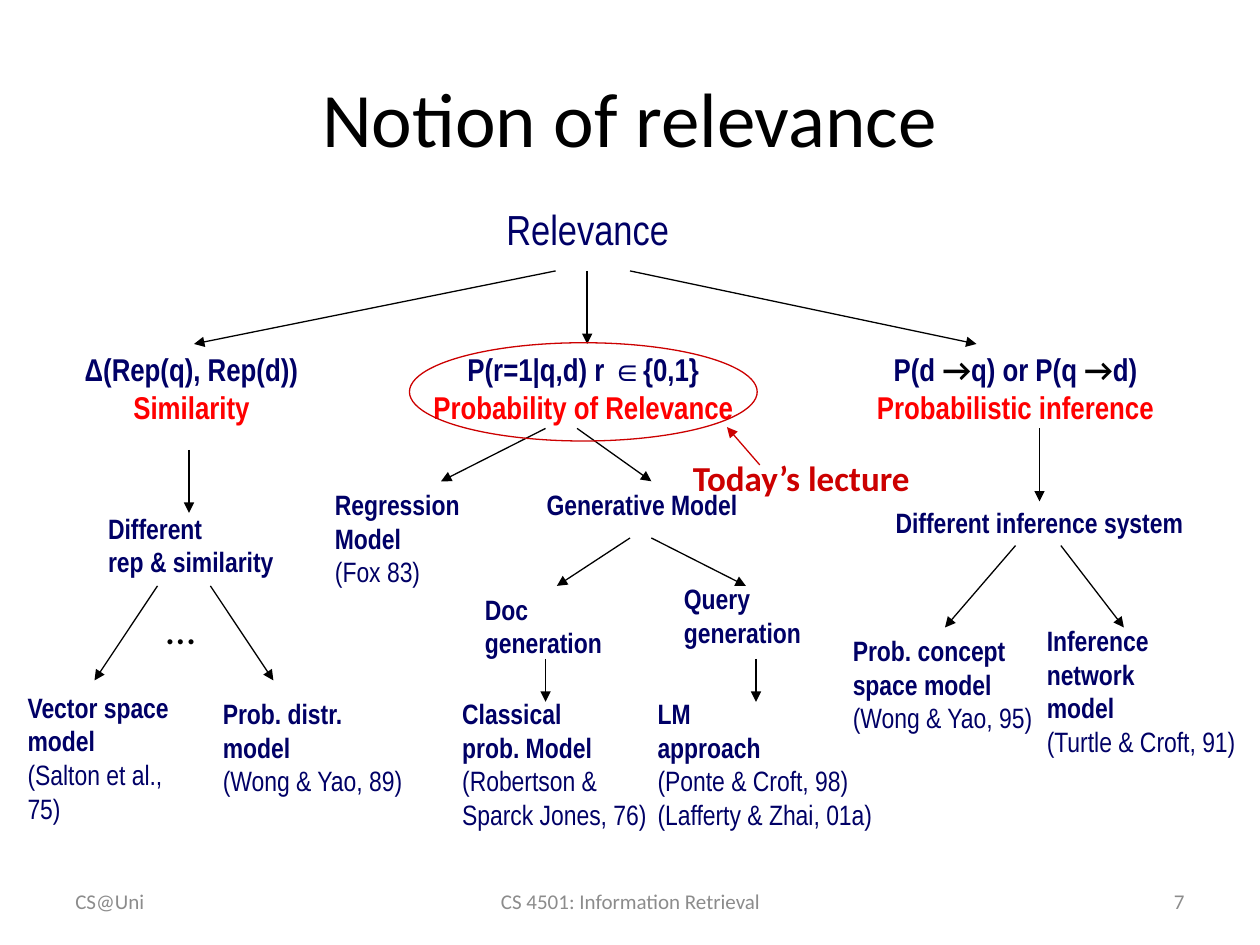
from pptx import Presentation
from pptx.dml.color import RGBColor
from pptx.enum.shapes import MSO_CONNECTOR as LINE, MSO_SHAPE as SHAPE
from pptx.enum.text import MSO_ANCHOR as ANCHOR, MSO_AUTO_SIZE as FIT, PP_ALIGN as ALIGN
from pptx.oxml.ns import qn
from pptx.util import Inches, Pt
from lxml.etree import SubElement

NAVY = RGBColor(0x00, 0x00, 0x66)
RED = RGBColor(0xFF, 0x00, 0x00)
CRIMSON = RGBColor(0xCC, 0x00, 0x00)
GRAY = RGBColor(0x8C, 0x8C, 0x8C)
BLACK = RGBColor(0x00, 0x00, 0x00)
NARROW, BODY = "Arial Narrow", "Calibri"
ARROW_SIGN = ("→", {"font": BODY, "color": BLACK})


def add_span(para, text, font=NARROW, size=16, color=NAVY, bold=False):
    """Append one formatted run to a paragraph."""
    span = para.add_run()
    span.text = text
    span.font.name = font
    span.font.size = Pt(size)
    span.font.color.rgb = color
    span.font.bold = bold


class RelevancePage:
    """Holds the current slide and the style of the concept tree."""

    def __init__(self, deck):
        self.page = deck.slides.add_slide(deck.slide_layouts[5])

    def title(self, text):
        box = self.page.shapes.title
        box.left, box.top = Inches(0.5), Inches(0.3)
        box.width, box.height = Inches(9), Inches(1.25)
        box.text_frame.vertical_anchor = ANCHOR.MIDDLE
        para = box.text_frame.paragraphs[0]
        para.alignment = ALIGN.CENTER
        add_span(para, text, font=BODY, size=44, color=BLACK)

    def text(self, area, lines, align=ALIGN.LEFT, wrap=False, fit=FIT.SHAPE_TO_FIT_TEXT,
             anchor=ANCHOR.TOP, **style):
        """Each line is a list of (text, format changes) spans."""
        box = self.page.shapes.add_textbox(*map(Inches, area))
        frame = box.text_frame
        frame.word_wrap = wrap
        frame.auto_size = fit
        frame.vertical_anchor = anchor
        for number, spans in enumerate(lines):
            para = frame.add_paragraph() if number else frame.paragraphs[0]
            para.alignment = align
            for words, changes in spans:
                add_span(para, words, **{**style, **changes})
        return box

    def label(self, area, text, **style):
        return self.text(area, [[(text, {})]], **style)

    def footer(self, left, width, text, align):
        self.label((left, 6.95, width, 0.4), text, align=align, wrap=True, fit=FIT.NONE,
                   anchor=ANCHOR.MIDDLE, font=BODY, size=12, color=GRAY)

    def branch(self, left, width, formula, name):
        """A formula with the name of its approach in red below."""
        return self.text((left, 2.73, width, 0.7), [formula, [(name, {"color": RED})]],
                         align=ALIGN.CENTER, size=18, bold=True)

    def model(self, left, top, width, *lines, wrap=False):
        """A bold model name, followed by its citation in plain type."""
        cited = False
        spans = []
        for line in lines:
            cited = cited or line.startswith("(")
            spans.append([(line, {"bold": not cited})])
        height = 0.1 + 0.27 * len(lines)
        self.text((left, top, width, height), spans, wrap=wrap)

    def arrow(self, start, end, color=BLACK):
        line = self.page.shapes.add_connector(LINE.STRAIGHT, *map(Inches, start + end))
        line.line.color.rgb = color
        line.line.width = Pt(0.75)
        SubElement(line.line._get_or_add_ln(), qn("a:tailEnd"), type="triangle")
        SubElement(line._element.spPr, qn("a:effectLst"))

    def ellipse(self, area, color):
        oval = self.page.shapes.add_shape(SHAPE.OVAL, *map(Inches, area))
        oval.shadow.inherit = False
        oval.fill.background()
        oval.line.color.rgb = color
        oval.line.width = Pt(0.75)


def main():
    deck = Presentation()
    deck.slide_width, deck.slide_height = Inches(10), Inches(7.5)
    tree = RelevancePage(deck)

    # Title and footer
    tree.title("Notion of relevance")
    tree.footer(0.5, 2.33, "CS@Uni", ALIGN.LEFT)
    tree.footer(3.42, 3.17, "CS 4501: Information Retrieval", ALIGN.CENTER)
    tree.footer(7.17, 2.33, "7", ALIGN.RIGHT)

    # Root and the three branches
    tree.label((3.92, 1.57, 1.5, 0.5), "Relevance", size=24)
    similarity = tree.branch(0.57, 2.13, [("Δ(Rep(q), Rep(d))", {})], "Similarity")
    formula = similarity.text_frame.paragraphs[0]
    formula._p.get_or_add_pPr().set("marR", str(Inches(0.23)))
    tree.branch(3.31, 2.64, [("P(r=1|q,d) r ∈{0,1}", {})], "Probability of Relevance")
    tree.branch(6.83, 2.46, [("P(d ", {}), ARROW_SIGN, ("q) or P(q ", {}), ARROW_SIGN,
                             ("d)", {})], "Probabilistic inference")

    # Models: left, top, width, lines
    models = [
        (0.76, 4.01, 1.56, "Different", "rep & similarity"),
        (0.12, 5.43, 1.58, "Vector space", "model", "(Salton et al., 75)"),
        (1.67, 5.48, 1.64, "Prob. distr.", "model", "(Wong & Yao, 89)"),
        (2.56, 3.82, 1.19, "Regression", "Model", "(Fox 83)"),
        (3.75, 4.65, 1.13, "Doc", "generation"),
        (5.33, 4.57, 1.13, "Query", "generation"),
        (3.57, 5.48, 1.67, "Classical", "prob. Model", "(Robertson &", "Sparck Jones, 76)"),
        (5.12, 5.48, 1.91, "LM", "approach", "(Ponte & Croft, 98)", "(Lafferty & Zhai, 01a)"),
        (6.67, 4.98, 1.64, "Prob. concept", "space model", "(Wong & Yao, 95)"),
        (8.21, 4.9, 1.7, "Inference", "network", "model", "(Turtle & Croft, 91)"),
    ]
    for model in models:
        tree.model(*model)
    tree.model(4.24, 3.82, 1.77, "Generative Model", wrap=True)
    tree.model(7.01, 3.96, 2.64, "Different inference system", wrap=True)
    tree.label((1.22, 4.73, 0.53, 0.5), "…", font=BODY, size=24, color=BLACK)

    # Arrows, level by level
    arrows = [
        ((4.41, 2.15), (1.54, 2.73)), ((4.66, 2.15), (4.66, 2.73)), ((5, 2.15), (7.75, 2.73)),
        ((1.5, 3.57), (1.5, 4.07)), ((4.33, 3.4), (3.5, 3.82)), ((4.58, 3.4), (5.17, 3.82)),
        ((8.25, 3.4), (8.25, 3.98)),
        ((1.25, 4.65), (0.75, 5.4)), ((1.67, 4.65), (2.17, 5.4)),
        ((5, 4.27), (4.42, 4.65)), ((5.17, 4.27), (5.92, 4.65)),
        ((8.06, 4.33), (7.5, 4.98)), ((8.42, 4.33), (8.92, 4.98)),
        ((4.33, 5.23), (4.33, 5.57)), ((6, 5.23), (6, 5.57)),
    ]
    for start, end in arrows:
        tree.arrow(start, end)

    # Highlight of the current topic
    tree.ellipse((3.25, 2.72, 2.76, 0.78), CRIMSON)
    tree.label((5.4, 3.57, 2.04, 0.43), "Today’s lecture",
               font=BODY, size=20, color=CRIMSON, bold=True)
    tree.arrow((6.03, 3.69), (5.77, 3.39), CRIMSON)

    deck.save("out.pptx")


if __name__ == "__main__":
    main()
